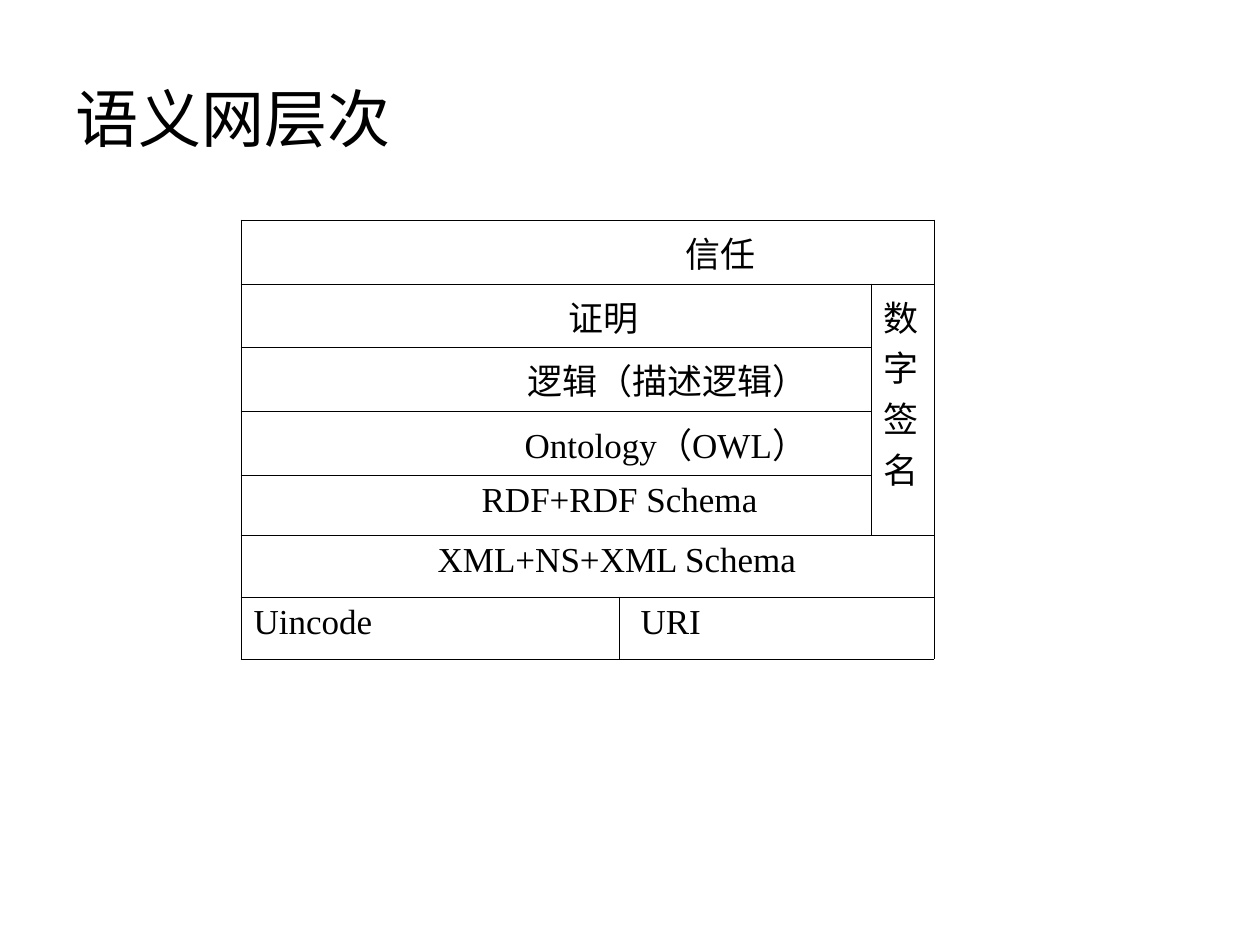
from lxml import etree
from pptx import Presentation
from pptx import util as u
from pptx.dml.color import RGBColor
from pptx.enum import text
from pptx.oxml import ns

HUES = {"ink": "000000"}
LATIN, HAN = "Times New Roman", "Noto Sans CJK SC"


def px(n):
    return u.Emu(round(n * 914400 / 126))


def add_run(para, words, size, face):
    run = para.add_run()
    run.text = words
    run.font.size = u.Pt(size)
    run.font.name = face
    run.font.color.rgb = RGBColor.from_string(HUES["ink"])
    etree.SubElement(run.font._element, ns.qn("a:ea"), typeface=HAN)


def add_title(slide, box, words):
    frame = slide.shapes.add_textbox(*map(px, box)).text_frame
    frame.word_wrap = True
    frame.vertical_anchor = text.MSO_ANCHOR.MIDDLE
    add_run(frame.paragraphs[0], words, 36, HAN)


def add_edges(cell):
    props = cell._tc.get_or_add_tcPr()
    for side in "LRTB":
        line = etree.SubElement(props, ns.qn("a:ln" + side), w=str(u.Pt(0.45)))
        fill = etree.SubElement(line, ns.qn("a:solidFill"))
        etree.SubElement(fill, ns.qn("a:srgbClr"), val=HUES["ink"])


def add_layers(slide, box, cols, rows, cells):
    frame = slide.shapes.add_table(len(rows), len(cols), *map(px, box))
    table = frame.table
    table.first_row = table.horz_banding = False
    for col, width in zip(table.columns, cols):
        col.width = px(width)
    for row, height in zip(table.rows, rows):
        row.height = px(height)
    for cell in table.iter_cells():
        add_edges(cell)
        cell.fill.background()
    for top, left, down, across, indent, lines in cells:
        cell = table.cell(top, left)
        if down * across > 1:
            cell.merge(table.cell(top + down - 1, left + across - 1))
        body = cell.text_frame
        for i, words in enumerate(lines):
            para = body.add_paragraph() if i else body.paragraphs[0]
            props = para._p.get_or_add_pPr()
            props.set("marL", str(px(indent)))
            props.set("indent", "0")
            add_run(para, words, 20, LATIN)


def main():
    deck = Presentation()
    deck.slide_width, deck.slide_height = px(1260), px(945)
    slide = deck.slides.add_slide(deck.slide_layouts[6])
    add_title(slide, (63, 38, 1134, 158), "语义网层次")
    cells = [
        (0, 0, 1, 3, 432, ["信任"]),
        (1, 0, 1, 2, 315, ["证明"]),
        (1, 2, 4, 1, 0, "数字签名"),
        (2, 0, 1, 2, 274, ["逻辑（描述逻辑）"]),
        (3, 0, 1, 2, 271, ["Ontology（OWL）"]),
        (4, 0, 1, 2, 228, ["RDF+RDF Schema"]),
        (5, 0, 1, 3, 184, ["XML+NS+XML Schema"]),
        (6, 0, 1, 1, 0, ["Uincode"]),
        (6, 1, 1, 2, 9, ["URI"]),
    ]
    add_layers(slide, (241, 220, 693, 439), (378, 252, 63),
               (64, 63, 64, 64, 60, 62, 62), cells)
    deck.save("out.pptx")


if __name__ == "__main__":
    main()
